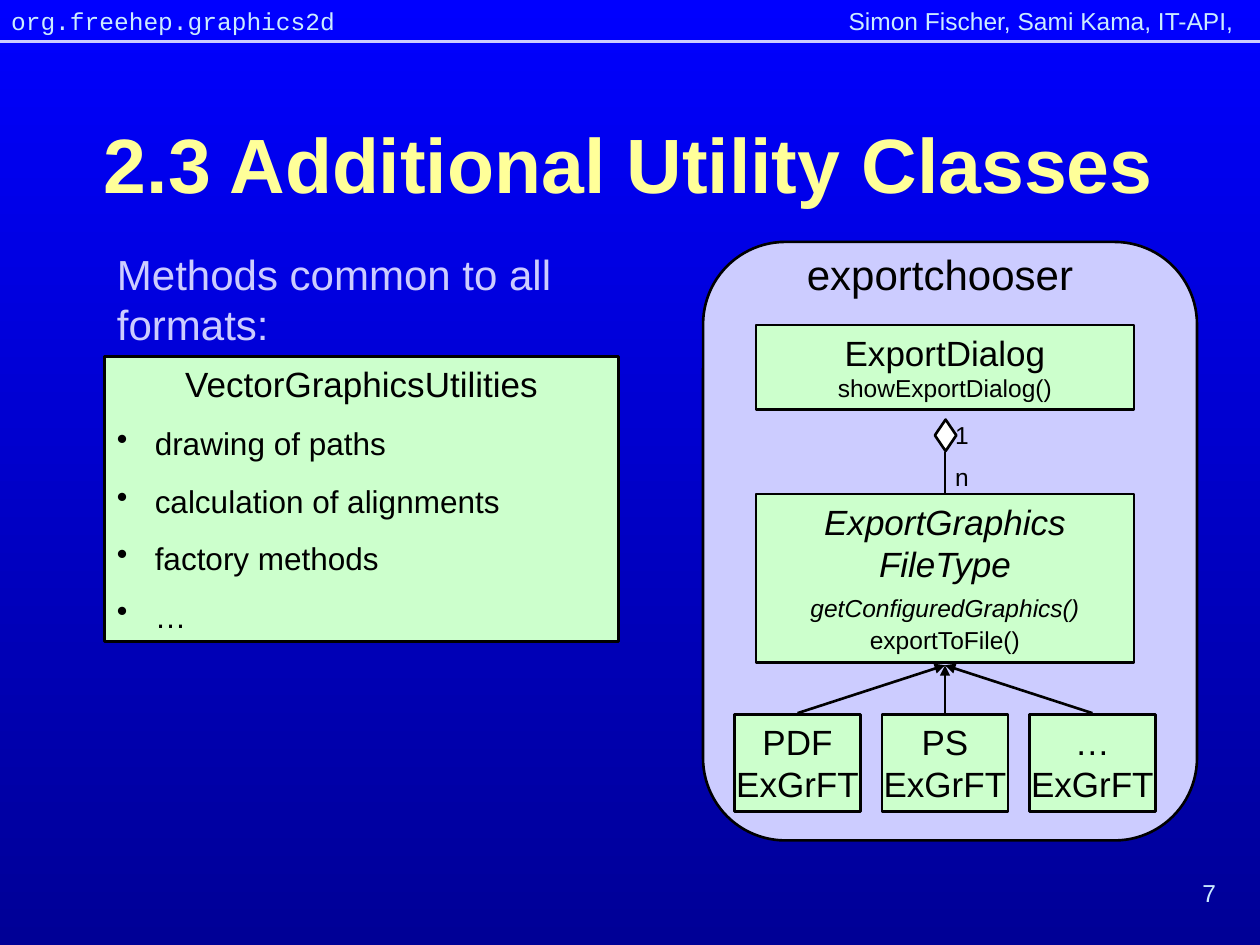
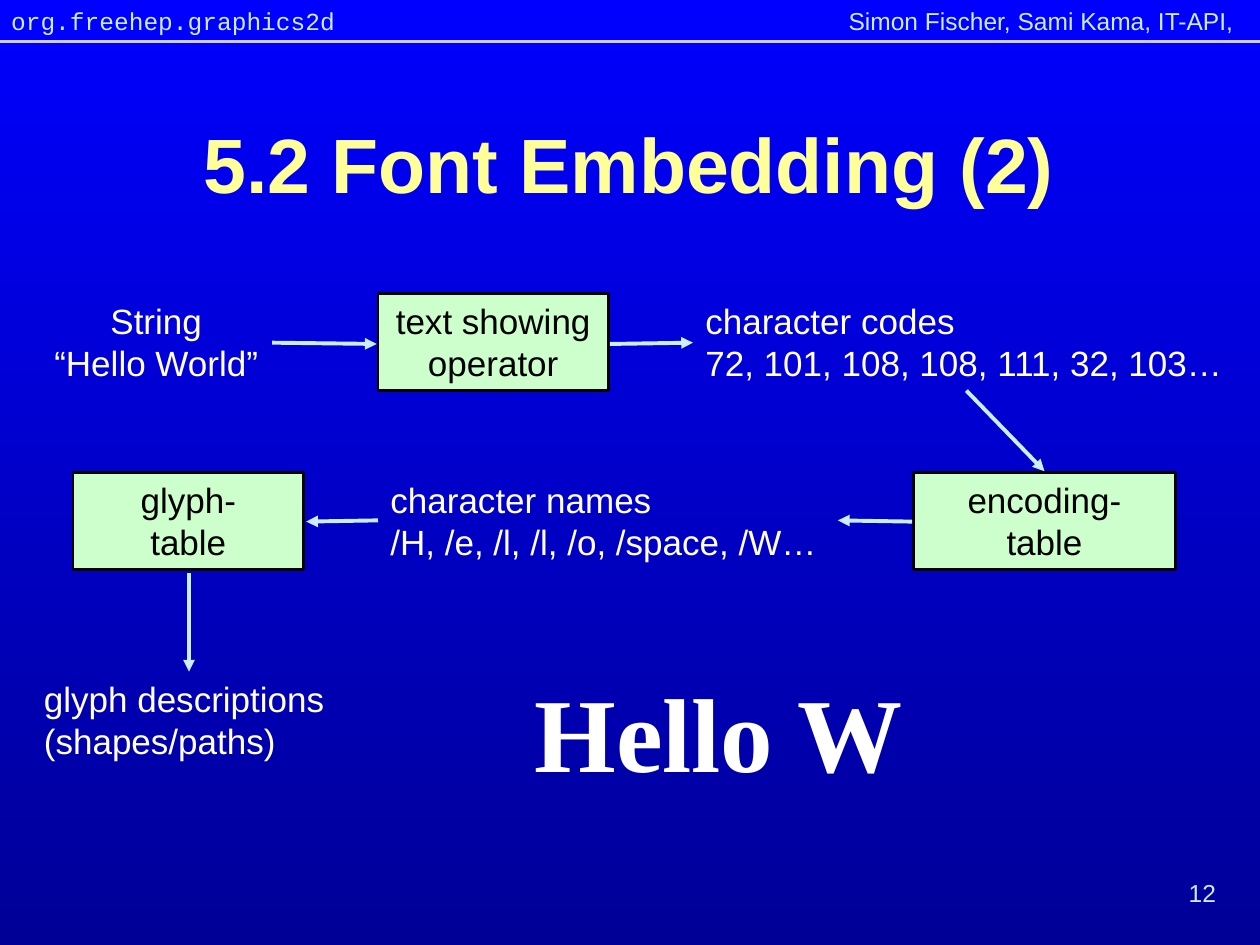
from lxml import etree
from pptx import Presentation
from pptx import util as u
from pptx.dml.color import RGBColor
from pptx.enum import shapes, text
from pptx.oxml.ns import qn

BLUE, NAVY = "0000FF", "000096"
YELLOW, GREEN, LILAC, PALE = "FFFF99", "CCFFCC", "CCCCFF", "CCECFF"
BLACK, WHITE = "000000", "FFFFFF"
FONT, MONO, SERIF = "Arial", "Courier New", "Times New Roman"
LEFT, MID, RIGHT = text.PP_ALIGN.LEFT, text.PP_ALIGN.CENTER, text.PP_ALIGN.RIGHT
SHAPE = shapes.MSO_SHAPE
ROW_H = 0.77  # height of a box with two lines of text


def tint(code):
    return RGBColor.from_string(code)


def inches(*sizes):
    return [u.Inches(size) for size in sizes]


def write(frame, words, size, color, align=LEFT, pad=0.1, wrap=True, font=FONT, bold=False):
    frame.text = words
    frame.word_wrap = wrap
    frame.auto_size = text.MSO_AUTO_SIZE.NONE
    frame.vertical_anchor = text.MSO_ANCHOR.TOP
    frame.margin_left = frame.margin_right = u.Inches(pad)
    frame.margin_top = frame.margin_bottom = u.Inches(0.05 if pad else 0)
    for para in frame.paragraphs:
        para.alignment = align
        style(para, size, color, font, bold)


def style(para, size, color=BLACK, font=FONT, bold=False, slant=False):
    for run in para.runs:
        run.font.name, run.font.size = font, u.Pt(size)
        run.font.bold, run.font.italic = bold, slant
        run.font.color.rgb = tint(color)


def label(slide, place, words, size=20, color=WHITE, **look):
    box = slide.shapes.add_textbox(*inches(*place))
    write(box.text_frame, words, size, color, **look)


def block(slide, place, fill, kind=SHAPE.RECTANGLE):
    shape = slide.shapes.add_shape(kind, *inches(*place))
    shape.shadow.inherit = False
    shape.fill.solid()
    shape.fill.fore_color.rgb = tint(fill)
    shape.line.color.rgb = tint(BLACK)
    shape.line.width = u.Pt(1.5)
    return shape


def box(slide, place, words, pad=0.1):
    """Add a green box with centred text and return its paragraphs."""
    frame = block(slide, place, GREEN).text_frame
    write(frame, words, 20, BLACK, MID, pad)
    if not pad:
        frame.margin_top = u.Inches(0.05)
    return frame.paragraphs


def line(slide, start, end, color=BLACK, width=1.5, arrow=True):
    link = slide.shapes.add_connector(
        shapes.MSO_CONNECTOR.STRAIGHT, *inches(*start, *end))
    link.line.color.rgb = tint(color)
    link.line.width = u.Pt(width)
    if arrow:
        etree.SubElement(link.line._get_or_add_ln(), qn("a:tailEnd"), type="triangle")
    etree.SubElement(link._element.spPr, qn("a:effectLst"))


def bullet(para):
    props = para._p.get_or_add_pPr()
    props.set("marL", str(u.Inches(0.3)))
    props.set("indent", str(-u.Inches(0.3)))
    etree.SubElement(props, qn("a:buChar"), char="•")


def paint(master):
    fill = master.background.fill
    fill.gradient()
    fill.gradient_angle = 270
    for stop, color, spot in zip(fill.gradient_stops, (BLUE, NAVY), (0, 1)):
        stop.color.rgb = tint(color)
        stop.position = spot


def start(deck, title, number):
    """Add a slide with the header band, title and page number."""
    slide = deck.slides.add_slide(deck.slide_layouts[5])
    label(slide, (5.86, 0, 4.03, 0.34), "Simon Fischer, Sami Kama, IT-API,",
          14, PALE, align=RIGHT)
    line(slide, (0, 0.33), (10, 0.33), LILAC, arrow=False)
    label(slide, (-0.01, 0, 2.77, 0.34), "org.freehep.graphics2d", 14, PALE,
          wrap=False, font=MONO)
    head = slide.shapes.title
    head.left, head.top, head.width, head.height = inches(0.58, 0.67, 8.83, 1.25)
    write(head.text_frame, title, 44, YELLOW, MID, bold=True)
    head.text_frame.vertical_anchor = text.MSO_ANCHOR.MIDDLE
    label(slide, (9.25, 6.92, 0.5, 0.33), str(number), 14, PALE, align=RIGHT)
    return slide


def methods(slide):
    label(slide, (0.83, 1.92, 4.08, 0.9), "Methods common to all formats:", 24, LILAC)
    items = ["drawing of paths", "calculation of alignments", "factory methods", "…"]
    paras = box(slide, (0.83, 2.83, 4.08, 2.26),
                "\n".join(["VectorGraphicsUtilities"] + items))
    for para in paras[1:]:
        para.alignment = LEFT
        para.space_before = u.Pt(11.2)
        style(para, 18)
        bullet(para)


def chooser(slide):
    block(slide, (5.58, 1.92, 3.92, 4.75), LILAC, SHAPE.ROUNDED_RECTANGLE)
    label(slide, (5.75, 1.92, 3.42, 0.5), "exportchooser", 24, BLACK, align=MID)

    paras = box(slide, (6, 2.58, 3, 0.67), "ExportDialog\nshowExportDialog()")
    style(paras[1], 14)

    paras = box(slide, (6, 3.92, 3, 1.34),
                "ExportGraphics\nFileType\ngetConfiguredGraphics()\nexportToFile()")
    for para, size in zip(paras, (20, 20, 14, 14)):
        style(para, size, slant=para is not paras[-1])
    paras[2].space_before = u.Pt(5)
    paras[3].space_before = u.Pt(1.5)

    line(slide, (7.5, 3.91), (7.5, 3.59), arrow=False)
    block(slide, (7.42, 3.33, 0.17, 0.25), WHITE, SHAPE.DIAMOND)
    for count, top in (("1", 3.33), ("n", 3.67)):
        label(slide, (7.58, top, 0.11, 0.23), count, 14, BLACK, pad=0, wrap=False)

    for col, name in enumerate(("PDF", "PS", "…")):
        mid = 6.33 + col * 1.17
        box(slide, (mid - 0.5, 5.67, 1, ROW_H), name + "\nExGrFT", pad=0)
        line(slide, (mid, 5.66), (7.5, 5.28))


def fonts(slide):
    for place, words in (
            ((3, 2.33, 1.83, ROW_H), "text showing operator"),
            ((7.25, 3.75, 2.08, ROW_H), "encoding-\ntable"),
            ((0.58, 3.75, 1.83, ROW_H), "glyph-\ntable")):
        box(slide, place, words)
    label(slide, (0.33, 2.33, 1.82, ROW_H), "String\n“Hello World”",
          align=MID, wrap=False)
    for place, words in (
            ((5.5, 2.33, 4.33, 1.1), "character codes\n72, 101, 108, 108, 111, 32, 103…"),
            ((3, 3.75, 3.65, ROW_H), "character names\n/H, /e, /l, /l, /o, /space, /W…"),
            ((0.25, 5.33, 2.5, ROW_H), "glyph descriptions (shapes/paths)")):
        label(slide, place, words)
    for tail, tip in (
            ((2.16, 2.72), (2.99, 2.73)),
            ((4.84, 2.73), (5.5, 2.72)),
            ((7.67, 3.1), (8.29, 3.74)),
            ((7.24, 4.14), (6.65, 4.13)),
            ((3, 4.13), (2.43, 4.14)),
            ((1.5, 4.55), (1.5, 5.33))):
        line(slide, tail, tip, PALE, 2.25)
    label(slide, (2.83, 5.25, 5.75, 0.94), "Hello W", 60, align=MID,
          font=SERIF, bold=True)


def main():
    deck = Presentation()
    deck.slide_width, deck.slide_height = inches(10, 7.5)
    paint(deck.slide_master)
    tools = start(deck, "2.3 Additional Utility Classes", 7)
    methods(tools)
    chooser(tools)
    fonts(start(deck, "5.2 Font Embedding (2)", 12))
    deck.save("out.pptx")


if __name__ == "__main__":
    main()
